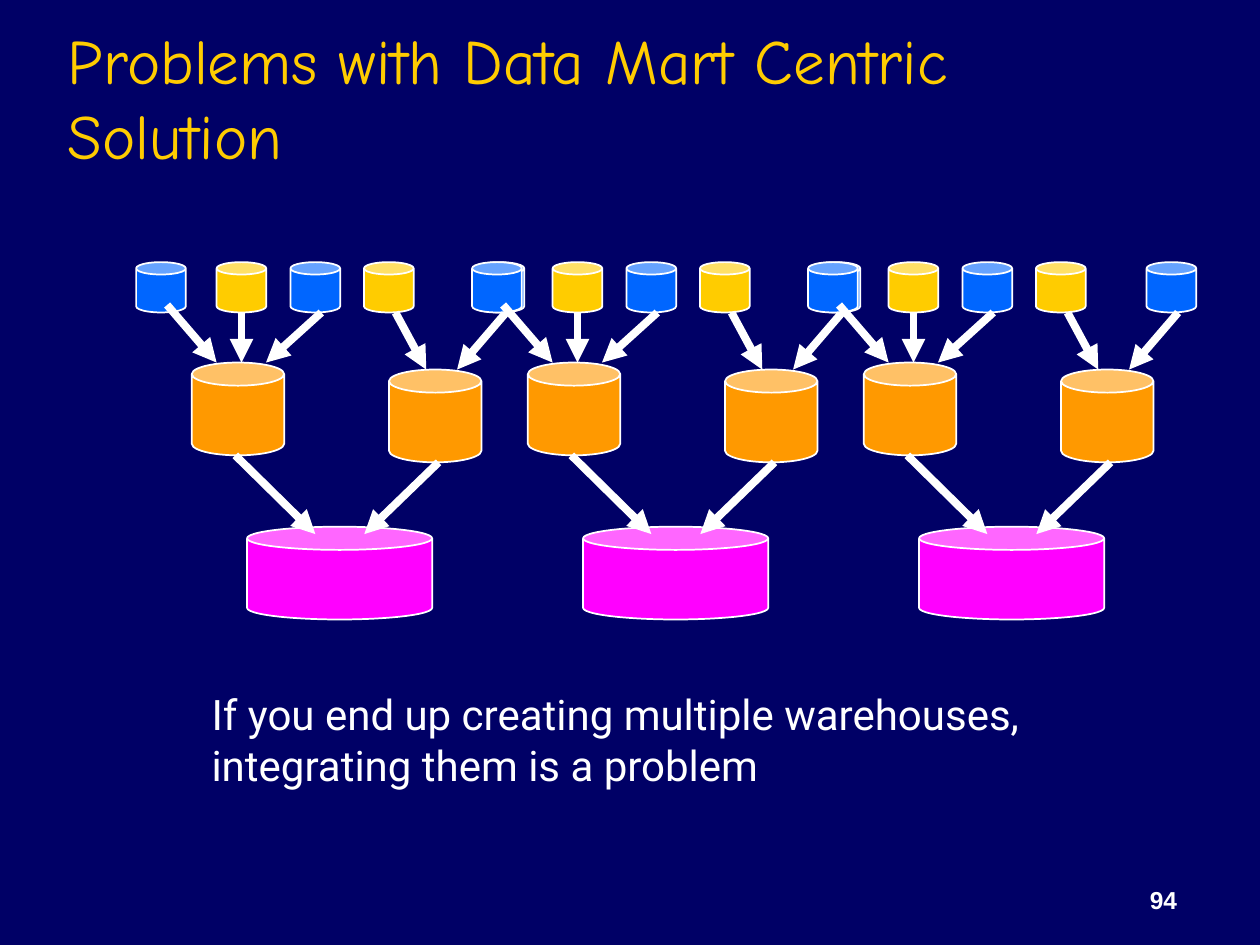
from typing import NamedTuple

from lxml import etree
from pptx import Presentation
from pptx.dml.color import RGBColor
from pptx.enum.shapes import MSO_CONNECTOR, MSO_SHAPE
from pptx.enum.text import MSO_ANCHOR, PP_ALIGN
from pptx.oxml.ns import qn
from pptx.shapes.group import GroupShape
from pptx.slide import Slide
from pptx.util import Pt

CAN = MSO_SHAPE.CAN
STRAIGHT = MSO_CONNECTOR.STRAIGHT
TOP, BOTTOM = MSO_ANCHOR.TOP, MSO_ANCHOR.BOTTOM
LEFT, RIGHT = PP_ALIGN.LEFT, PP_ALIGN.RIGHT

COLORS = {
    "background": "000066",
    "title": "FFCC00",
    "white": "FFFFFF",
    "blue": "0066FF",
    "yellow": "FFCC00",
    "orange": "FF9900",
    "magenta": "FF00FF",
}


class Can(NamedTuple):
    left: float
    top: float
    width: float
    height: float
    color: str


class Arrow(NamedTuple):
    x1: float
    y1: float
    x2: float
    y2: float


class Label(NamedTuple):
    text: str
    left: float
    top: float
    width: float
    height: float
    font: str
    size: float
    color: str
    bold: bool = False
    anchor: MSO_ANCHOR = TOP
    align: PP_ALIGN = LEFT


PIPELINE_LEFTS = [0, 192, 384]

# All positions below are those of the leftmost pipeline.
SOURCE_TOP = 149.8
SOURCES = [
    Can(left, SOURCE_TOP, 28.4, 28.8, color)
    for left, color in [
        (77.8, "blue"),
        (271.2, "blue"),
        (208, "yellow"),
        (166, "blue"),
        (123.8, "yellow"),
    ]
]
MARTS = [
    Can(109.6, 207.2, 52.8, 53, "orange"),
    Can(222.3, 211.2, 52.8, 53, "orange"),
]
WAREHOUSE = Can(141.2, 301, 105.8, 53, "magenta")
ARROWS = [
    Arrow(95.5, 174.3, 123.8, 207.2),
    Arrow(138, 178.6, 138, 207.2),
    Arrow(183.6, 178.6, 152, 207.2),
    Arrow(289.2, 178.6, 261.2, 211.2),
    Arrow(226, 178.6, 243.6, 211.2),
    Arrow(134.5, 260.2, 180.2, 305.2),
    Arrow(250.6, 264.2, 208.2, 305.2),
]

LABELS = [
    Label("Problems with Data Mart Centric Solution", 31.7, 18, 612, 84.2,
          "Comic Neue", 36, "title", anchor=BOTTOM),
    Label("If you end up creating multiple warehouses, integrating them is a problem",
          113.8, 390.2, 498.2, 93.6, "Roboto", 24, "white"),
    Label("94", 529.9, 490.3, 149.8, 36, "Arial", 14, "white",
          bold=True, anchor=BOTTOM, align=RIGHT),
]


def rgb(name: str) -> RGBColor:
    return RGBColor.from_string(COLORS[name])


def draw_can(group: GroupShape, can: Can, offset: float) -> None:
    shape = group.shapes.add_shape(
        CAN, Pt(can.left + offset), Pt(can.top), Pt(can.width), Pt(can.height))
    shape.adjustments[0] = 0.25
    shape.shadow.inherit = False
    shape.fill.solid()
    shape.fill.fore_color.rgb = rgb(can.color)
    shape.line.color.rgb = rgb("white")
    shape.line.width = Pt(1)


def draw_arrow(group: GroupShape, arrow: Arrow, offset: float) -> None:
    connector = group.shapes.add_connector(
        STRAIGHT, Pt(arrow.x1 + offset), Pt(arrow.y1),
        Pt(arrow.x2 + offset), Pt(arrow.y2))
    connector.line.color.rgb = rgb("white")
    connector.line.width = Pt(4.5)
    properties = connector.line._get_or_add_ln()
    etree.SubElement(properties, qn("a:tailEnd"), type="triangle")
    etree.SubElement(connector._element.spPr, qn("a:effectLst"))


def draw_pipeline(page: Slide, offset: float) -> None:
    """Draw sources feeding two data marts, which feed one warehouse."""
    group = page.shapes.add_group_shape()
    for can in [*SOURCES, *MARTS, WAREHOUSE]:
        draw_can(group, can, offset)
    for arrow in ARROWS:
        draw_arrow(group, arrow, offset)


def draw_label(page: Slide, label: Label) -> None:
    box = page.shapes.add_textbox(
        Pt(label.left), Pt(label.top), Pt(label.width), Pt(label.height))
    frame = box.text_frame
    frame.word_wrap = True
    frame.vertical_anchor = label.anchor
    para = frame.paragraphs[0]
    para.text = label.text
    para.alignment = label.align
    para.font.name = label.font
    para.font.size = Pt(label.size)
    para.font.bold = label.bold
    para.font.color.rgb = rgb(label.color)


def main() -> None:
    deck = Presentation()
    deck.slide_width, deck.slide_height = Pt(720), Pt(540)
    page = deck.slides.add_slide(deck.slide_layouts[6])
    page.background.fill.solid()
    page.background.fill.fore_color.rgb = rgb("background")

    title, *other_labels = LABELS
    draw_label(page, title)
    for offset in PIPELINE_LEFTS:
        draw_pipeline(page, offset)
    for label in other_labels:
        draw_label(page, label)
    deck.save("out.pptx")


if __name__ == "__main__":
    main()
